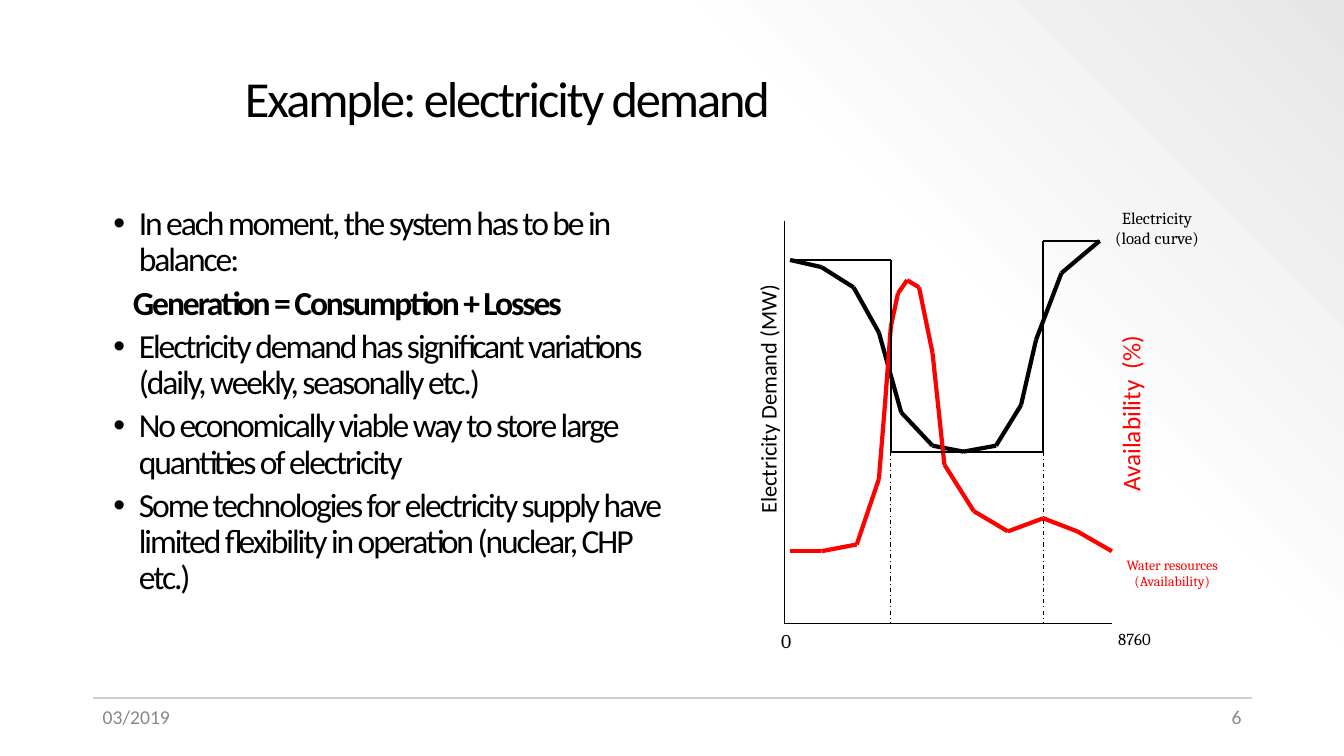
from dataclasses import dataclass
from itertools import pairwise

from lxml.etree import SubElement
from pptx import Presentation
from pptx.dml.color import RGBColor
from pptx.enum.dml import MSO_LINE_DASH_STYLE as Dash
from pptx.enum.shapes import MSO_CONNECTOR as Connector
from pptx.enum.text import MSO_ANCHOR as Anchor, MSO_AUTO_SIZE as AutoSize, PP_ALIGN as Align
from pptx.oxml.ns import qn
from pptx.slide import Slide
from pptx.text.text import TextFrame, _Paragraph as Paragraph
from pptx.util import Cm, Pt

BLACK = RGBColor(0x00, 0x00, 0x00)
RED = RGBColor(0xFF, 0x00, 0x00)
GREY = RGBColor(0x88, 0x88, 0x88)
RULE_GREY = RGBColor(0xD0, 0xCE, 0xCE)

SANS = "Calibri"
SERIF = "Cambria"

# Chart landmarks, in centimetres
AXIS_LEFT, AXIS_RIGHT = 19.76, 28.02
AXIS_TOP, AXIS_BOTTOM = 5.56, 15.72
CURVE_START, LOAD_END = 19.91, 27.71
STEP_DOWN, STEP_UP = 22.45, 26.29
LOAD_FIRST, LOAD_LOW, LOAD_LAST = 6.55, 11.38, 6.07


@dataclass(frozen=True)
class Polyline:
    points: list[tuple[float, float]]
    color: RGBColor
    width: float
    dash: Dash | None = None


@dataclass(frozen=True)
class Label:
    lines: list[str]
    box: tuple[float, float, float, float]
    size: int
    font: str = SERIF
    color: RGBColor = BLACK
    align: Align = Align.CENTER
    rotation: int = 0


@dataclass(frozen=True)
class BodyItem:
    text: str
    bullet: bool = True


POLYLINES = [
    Polyline([(2.34, 17.58), (31.55, 17.58)], RULE_GREY, 1.5),
    Polyline([(AXIS_LEFT, AXIS_TOP), (AXIS_LEFT, AXIS_BOTTOM), (AXIS_RIGHT, AXIS_BOTTOM)],
             BLACK, 0.75),
    # Load curve
    Polyline([(CURVE_START, LOAD_FIRST), (20.7, 6.73), (21.51, 7.24), (22.15, 8.38),
              (22.71, 10.39), (23.5, 11.23), (24.28, LOAD_LOW), (25.1, 11.23),
              (25.73, 10.21), (26.11, 8.56), (26.75, 6.88), (LOAD_END, LOAD_LAST)],
             BLACK, 3),
    # Water availability
    Polyline([(CURVE_START, 13.89), (20.7, 13.89), (21.59, 13.72), (22.15, 12.07),
              (22.3, 10.21), (STEP_DOWN, 8.23), (22.63, 7.39), (22.86, 7.06),
              (23.16, 7.24), (23.5, 8.89), (23.8, 11.71), (24.54, 12.88),
              (25.4, 13.39), (STEP_UP, 13.06), (27.15, 13.39), (AXIS_RIGHT, 13.89)],
             RED, 3),
    # Load in three steps
    Polyline([(CURVE_START, LOAD_FIRST), (STEP_DOWN, LOAD_FIRST), (STEP_DOWN, LOAD_LOW),
              (STEP_UP, LOAD_LOW), (STEP_UP, LOAD_LAST), (LOAD_END, LOAD_LAST)],
             BLACK, 1.5),
    *(Polyline([(x, LOAD_LOW), (x, AXIS_BOTTOM)], BLACK, 0.75, Dash.DASH_DOT)
      for x in (STEP_DOWN, STEP_UP)),
]

LABELS = [
    Label(["0"], (19.41, 15.72, 0.81, 0.86), 14),
    Label(["8760"], (27.84, 15.72, 1.5, 0.76), 12),
    Label(["Electricity", "(load curve)"], (27.79, 5.11, 2.74, 1.3), 12),
    Label(["Water resources", "(Availability)"], (27.99, 13.89, 3.1, 1.12), 10, color=RED),
    Label(["Electricity Demand (MW)"], (16.18, 9.55, 6.35, 0.94), 16, SANS,
          align=Align.LEFT, rotation=270),
    Label(["Availability  (%)"], (26.24, 9.88, 4.5, 1.02), 18, SANS, RED, Align.LEFT, 270),
    Label(["03/2019"], (2.34, 17.65, 3.3, 1.02), 14, SANS, GREY, Align.LEFT),
    Label(["6"], (28.24, 17.65, 3.3, 1.02), 14, SANS, GREY, Align.RIGHT),
]

BODY = [
    BodyItem("In each moment, the system has to be in balance:"),
    BodyItem("Generation = Consumption + Losses", bullet=False),
    BodyItem("Electricity demand has significant variations (daily, weekly, seasonally etc.)"),
    BodyItem("No economically viable way to store large quantities of electricity"),
    BodyItem("Some technologies for electricity supply have limited flexibility in "
             "operation (nuclear, CHP etc.)"),
]


def set_font(para: Paragraph, name: str, size: int, color: RGBColor) -> None:
    para.font.name = name
    para.font.size = Pt(size)
    para.font.color.rgb = color


def set_tight_text(para: Paragraph, size: int) -> None:
    """Format large text with narrowed letter and line spacing."""
    para.line_spacing = 0.9
    set_font(para, SANS, size, BLACK)
    para.font._rPr.set("spc", "-150")


def set_indent(para: Paragraph, margin: float, bullet: bool) -> None:
    props = para._p.get_or_add_pPr()
    props.set("marL", str(Cm(margin)))
    props.set("indent", str(Cm(-0.64 if bullet else 0)))
    if bullet:
        SubElement(SubElement(props, qn("a:buClr")), qn("a:srgbClr"), val=str(BLACK))
        SubElement(props, qn("a:buFont"), typeface="Arial")
        SubElement(props, qn("a:buChar"), char="•")


def fill_lines(frame: TextFrame, lines: list[str]) -> None:
    frame.word_wrap = True
    frame.text = "\n".join(lines)


def paint_background(page: Slide) -> None:
    """Fade from white to light grey towards the top right corner."""
    fill = page.background.fill
    fill.gradient()
    fill.gradient_angle = 45
    stops = page._element.find(".//" + qn("a:gsLst"))
    for stop in list(stops):
        stops.remove(stop)
    for position, color in ((0, "FFFFFF"), (69, "FDFDFD"), (100, "E7E6E6")):
        stop = SubElement(stops, qn("a:gs"), pos=str(position * 1000))
        paint = SubElement(stop, qn("a:srgbClr"), val=color)
    SubElement(paint, qn("a:alpha"), val="50000")


def draw_polyline(page: Slide, polyline: Polyline) -> None:
    for start, end in pairwise(polyline.points):
        ends = (Cm(value) for value in (*start, *end))
        segment = page.shapes.add_connector(Connector.STRAIGHT, *ends)
        segment.line.color.rgb = polyline.color
        segment.line.width = Pt(polyline.width)
        if polyline.dash:
            segment.line.dash_style = polyline.dash
        SubElement(segment._element.spPr, qn("a:effectLst"))


def draw_label(page: Slide, label: Label) -> None:
    box = page.shapes.add_textbox(*map(Cm, label.box))
    box.rotation = label.rotation
    fill_lines(box.text_frame, label.lines)
    for para in box.text_frame.paragraphs:
        para.alignment = label.align
        set_font(para, label.font, label.size, label.color)


def draw_title(page: Slide) -> None:
    title = page.shapes.title
    title.left, title.top, title.width, title.height = map(Cm, (5.92, 1.02, 25.6, 3.05))
    frame = title.text_frame
    fill_lines(frame, ["Example: electricity demand"])
    frame.auto_size = AutoSize.NONE
    frame.vertical_anchor = Anchor.MIDDLE
    frame.paragraphs[0].alignment = Align.LEFT
    set_tight_text(frame.paragraphs[0], 36)


def draw_body(page: Slide) -> None:
    box = page.shapes.add_textbox(*map(Cm, (1.35, 5.08, 16.13, 12.09)))
    fill_lines(box.text_frame, [item.text for item in BODY])
    for index, (item, para) in enumerate(zip(BODY, box.text_frame.paragraphs)):
        set_indent(para, 1.9 if item.bullet else 1.75, item.bullet)
        para.space_before = Pt(5 if index else 0)
        set_tight_text(para, 24)
        para.font.bold = not item.bullet


def main() -> None:
    deck = Presentation()
    deck.slide_width, deck.slide_height = Cm(33.87), Cm(19.05)
    page = deck.slides.add_slide(deck.slide_layouts[5])
    paint_background(page)
    draw_title(page)
    draw_body(page)
    for polyline in POLYLINES:
        draw_polyline(page, polyline)
    for label in LABELS:
        draw_label(page, label)
    deck.save("out.pptx")


if __name__ == "__main__":
    main()
